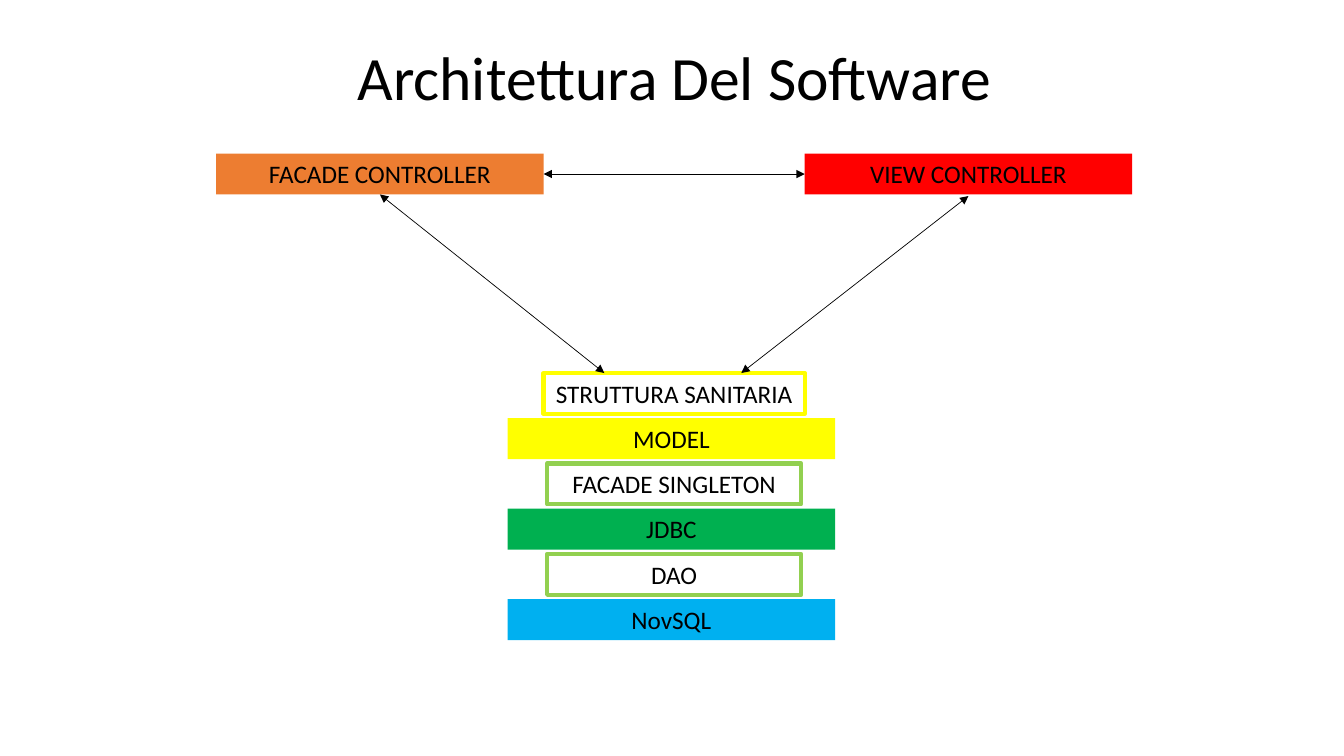
from dataclasses import dataclass

from lxml import etree
from pptx import Presentation
from pptx.dml.color import RGBColor as RGB
from pptx.enum.shapes import MSO_CONNECTOR as CONN, MSO_SHAPE as SHAPE
from pptx.enum.text import MSO_ANCHOR as ANCHOR, MSO_AUTO_SIZE as AUTO, PP_ALIGN as ALIGN
from pptx.oxml.ns import qn
from pptx.util import Cm, Pt


@dataclass(frozen=True)
class Theme:
    font: str = "Calibri"
    title_size: int = 44
    label_size: int = 18
    border: float = 3
    arrow: float = 0.5
    black: str = "000000"
    orange: str = "ED7D31"
    red: str = "FF0000"
    yellow: str = "FFFF00"
    lime: str = "92D050"
    green: str = "00B050"
    blue: str = "00B0F0"


T = Theme()

# Content
TITLE = "Architettura Del Software"
CONTROLLERS = [  # label, colour, left in cm
    ("FACADE CONTROLLER", T.orange, 5.45),
    ("VIEW CONTROLLER", T.red, 20.28),
]
LAYERS = [  # label, colour, filled, width in cm
    ("STRUTTURA SANITARIA", T.yellow, False, 6.58),
    ("MODEL", T.yellow, True, 8.25),
    ("FACADE SINGLETON", T.lime, False, 6.4),
    ("JDBC", T.green, True, 8.25),
    ("DAO", T.lime, False, 6.4),
    ("NovSQL", T.blue, True, 8.25),
]

# Geometry in cm
BOX_W, BOX_H = 8.25, 1.03
CONTROLLER_TOP = 3.87
STACK_TOP, STACK_STEP = 9.4, 1.14
FILLED_CENTRE, OUTLINED_CENTRE = 16.92, 16.99
ARROW_SPREAD = 1.76  # half the distance between the arrow feet


def style(p, size):
    p.alignment = ALIGN.CENTER
    for r in p.runs:
        r.font.name = T.font
        r.font.size = Pt(size)
        r.font.color.rgb = RGB.from_string(T.black)


def add_box(slide, label, color, filled, left, top, width):
    sp = slide.shapes.add_shape(SHAPE.RECTANGLE, Cm(left), Cm(top), Cm(width), Cm(BOX_H))
    sp.shadow.inherit = False
    if filled:
        sp.fill.solid()
        sp.fill.fore_color.rgb = RGB.from_string(color)
        sp.line.fill.background()
    else:
        sp.fill.background()
        sp.line.color.rgb = RGB.from_string(color)
        sp.line.width = Pt(T.border)
    tf = sp.text_frame
    tf.text = label
    tf.word_wrap = True
    tf.auto_size = AUTO.SHAPE_TO_FIT_TEXT
    tf.vertical_anchor = ANCHOR.TOP
    style(tf.paragraphs[0], T.label_size)


def add_arrow(slide, x1, y1, x2, y2):
    c = slide.shapes.add_connector(CONN.STRAIGHT, Cm(x1), Cm(y1), Cm(x2), Cm(y2))
    c.line.color.rgb = RGB.from_string(T.black)
    c.line.width = Pt(T.arrow)
    ln = c.line._get_or_add_ln()
    for end in ("a:headEnd", "a:tailEnd"):
        etree.SubElement(ln, qn(end), type="triangle")
    etree.SubElement(c._element.spPr, qn("a:effectLst"))


def main():
    prs = Presentation()
    prs.slide_width, prs.slide_height = Cm(33.87), Cm(19.05)
    slide = prs.slides.add_slide(prs.slide_layouts[5])

    # Title
    title = slide.shapes.title
    title.left, title.top, title.width, title.height = Cm(2.4), Cm(0.18), Cm(29.2), Cm(3.68)
    tf = title.text_frame
    tf.text = TITLE
    tf.vertical_anchor = ANCHOR.MIDDLE
    tf.paragraphs[0].line_spacing = 0.9
    style(tf.paragraphs[0], T.title_size)

    # Controllers
    for label, color, left in CONTROLLERS:
        add_box(slide, label, color, True, left, CONTROLLER_TOP, BOX_W)

    # Layer stack
    for i, (label, color, filled, width) in enumerate(LAYERS):
        centre = FILLED_CENTRE if filled else OUTLINED_CENTRE
        add_box(slide, label, color, filled, centre - width / 2, STACK_TOP + i * STACK_STEP, width)

    # Arrows between the controllers and down to the stack
    facade_x, view_x = (left for _, _, left in CONTROLLERS)
    middle, bottom = CONTROLLER_TOP + BOX_H / 2, CONTROLLER_TOP + BOX_H
    add_arrow(slide, facade_x + BOX_W, middle, view_x, middle)
    add_arrow(slide, facade_x + BOX_W / 2, bottom, OUTLINED_CENTRE - ARROW_SPREAD, STACK_TOP)
    add_arrow(slide, OUTLINED_CENTRE + ARROW_SPREAD - 0.07, STACK_TOP, view_x + BOX_W / 2, bottom + 0.04)

    prs.save("out.pptx")


if __name__ == "__main__":
    main()
